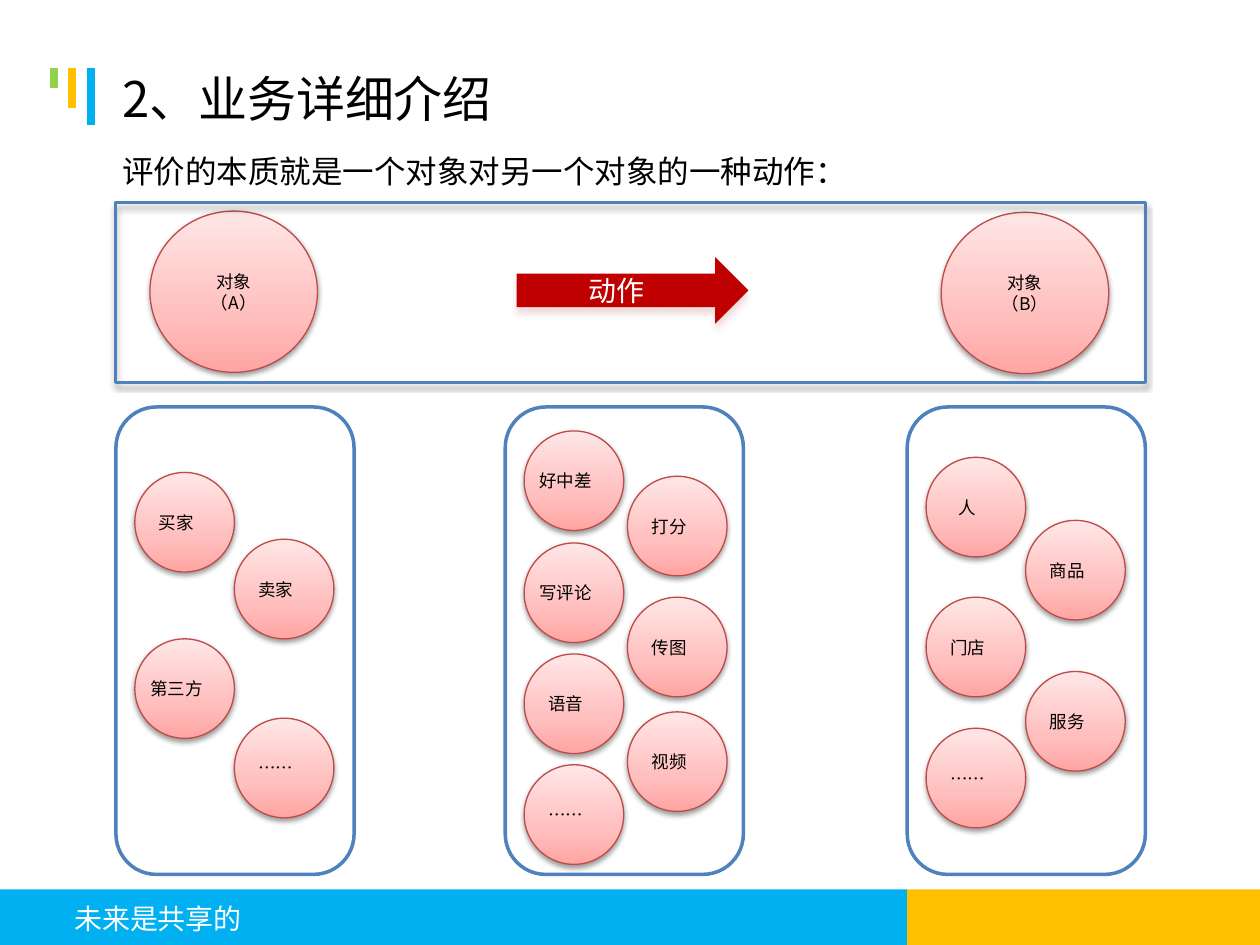
from dataclasses import dataclass

from pptx import Presentation
from pptx.dml.color import RGBColor
from pptx.enum.shapes import MSO_CONNECTOR, MSO_SHAPE as SHAPE
from pptx.enum.text import MSO_ANCHOR as ANCHOR, PP_ALIGN as ALIGN
from pptx.oxml import parse_xml
from pptx.oxml.ns import nsdecls, qn
from pptx.util import Inches, Pt

COLS, ROWS = 100, 75  # slide grid, square cells
CELL = Inches(10) // COLS


@dataclass(frozen=True)
class Theme:
    font: str = "Noto Sans CJK SC"
    latin: str = "Calibri"
    black: str = "000000"
    white: str = "FFFFFF"
    blue: str = "00B0F0"
    yellow: str = "FFC000"
    green: str = "92D050"
    red: str = "C00000"
    frame: str = "4F81BD"
    ring: str = "BE4B48"
    pinks: tuple = ((0, "FFA5A3"), (35, "FFBFBE"), (100, "FFE6E6"))
    title: int = 28
    lead: int = 18
    label: int = 16
    small: int = 10


T = Theme()


@dataclass(frozen=True)
class Box:
    """A rectangle in grid cells."""
    x: float
    y: float
    w: float
    h: float

    def inner(self, x, y, w, h):
        return Box(self.x + x, self.y + y, w, h)

    def emu(self):
        return [round(v * CELL) for v in (self.x, self.y, self.w, self.h)]


def rgb(color):
    return RGBColor.from_string(color)


def write(sp, text, size, color, align=ALIGN.CENTER, font=T.font,
          margins=(0, 0, 0, 0), wrap=False, anchor=ANCHOR.MIDDLE):
    tf = sp.text_frame
    tf.text = text
    tf.word_wrap = wrap
    tf.vertical_anchor = anchor
    (tf.margin_left, tf.margin_top,
     tf.margin_right, tf.margin_bottom) = [round(m * CELL) for m in margins]
    for p in tf.paragraphs:
        p.alignment = align
        p.font.size, p.font.name = Pt(size), font
        p.font.color.rgb = rgb(color)
        # East Asian typeface follows the latin one
        latin = p.font._element.find(qn("a:latin"))
        latin.addnext(parse_xml(
            f'<a:ea {nsdecls("a")} typeface="{T.font}"/>'))


def add_shape(slide, kind, box, fill=None, line=None, width=1):
    sp = slide.shapes.add_shape(kind, *box.emu())
    sp.shadow.inherit = False
    if fill:
        sp.fill.solid()
        sp.fill.fore_color.rgb = rgb(fill)
    else:
        sp.fill.background()
    if line:
        sp.line.color.rgb = rgb(line)
        sp.line.width = Pt(width)
    else:
        sp.line.fill.background()
    return sp


def add_shadow(sp, color, alpha, blur, dist):
    effects = sp._element.spPr.find(qn("a:effectLst"))
    effects.append(parse_xml(
        f'<a:outerShdw {nsdecls("a")} blurRad="{Pt(blur)}" dist="{Pt(dist)}" '
        f'dir="5400000" rotWithShape="0"><a:srgbClr val="{color}">'
        f'<a:alpha val="{alpha * 1000}"/></a:srgbClr></a:outerShdw>'))


def add_circle(slide, box, text, right_margin=0):
    sp = add_shape(slide, SHAPE.OVAL, box, None, T.ring, 0.75)
    stops = "".join(f'<a:gs pos="{pos * 1000}"><a:srgbClr val="{c}"/></a:gs>'
                    for pos, c in T.pinks)
    no_fill = sp._element.spPr.find(qn("a:noFill"))
    no_fill.addprevious(parse_xml(
        f'<a:gradFill {nsdecls("a")} rotWithShape="1"><a:gsLst>{stops}</a:gsLst>'
        '<a:lin ang="16200000" scaled="0"/></a:gradFill>'))
    sp._element.spPr.remove(no_fill)
    add_shadow(sp, T.black, 38, 3, 1.6)
    write(sp, text, T.small, T.black, margins=(0, 0, right_margin, 0))


def add_header(slide, box):
    # Three hanging bars
    bars = ((0, 1.6, T.green), (1.45, 3.2, T.yellow), (2.9, 4.5, T.blue))
    for x, length, color in bars:
        bar = box.inner(x, 1.9, 0, length)
        left, top, _, height = bar.emu()
        line = slide.shapes.add_connector(
            MSO_CONNECTOR.STRAIGHT, left, top, left, top + height)
        line.line.color.rgb = rgb(color)
        line.line.width = Pt(4.5)
        line._element.spPr.append(parse_xml(f'<a:effectLst {nsdecls("a")}/>'))

    # Title and lead sentence
    title = slide.shapes.title
    title.left, title.top, title.width, title.height = box.inner(
        4.9, 0, 74.1, 8.5).emu()
    write(title, "2、业务详细介绍", T.title, T.black, ALIGN.LEFT,
          margins=(0.5,) * 4, wrap=True)
    lead = slide.shapes.add_textbox(*box.inner(4.9, 8.1, 58.6, 3.6).emu())
    write(lead, "评价的本质就是一个对象对另一个对象的一种动作：", T.lead, T.black,
          ALIGN.LEFT, T.latin, (0.5,) * 4, anchor=ANCHOR.TOP)


def add_relation(slide, box):
    # Subject, action, object
    add_circle(slide, box.inner(2.7, 0.65, 13.3, 12.8), "对象\n（A）")
    add_circle(slide, box.inner(65.5, 0.75, 13.3, 12.8), "对象\n（B）")
    arrow = add_shape(slide, SHAPE.RIGHT_ARROW,
                      box.inner(31.8, 4.3, 18.4, 5.3), T.red)
    add_shadow(arrow, "F2DCDB", 100, 4, 4)
    write(arrow, "动作", T.label, T.white, margins=(0, 0, 1.2, 0))
    frame = add_shape(slide, SHAPE.RECTANGLE, box, None, T.frame, 1.75)
    add_shadow(frame, T.black, 35, 3, 1.8)


def add_panel(slide, box, lanes, items):
    """Circles alternate between the left and the right lane."""
    panel = add_shape(slide, SHAPE.ROUNDED_RECTANGLE, box, T.white, T.frame, 2)
    panel.adjustments[0] = 0.17
    for i, (text, y) in enumerate(items):
        add_circle(slide, box.inner(lanes[i % 2], y, 7.9, 7.9), text, 1.3)


def add_footer(slide, box):
    split = 72
    band = add_shape(slide, SHAPE.RECTANGLE,
                     box.inner(0, 0, split, box.h), T.blue)
    write(band, "未来是共享的", T.label, T.white, ALIGN.LEFT,
          margins=(5.9, 0.2, 0, 0))
    add_shape(slide, SHAPE.RECTANGLE,
              box.inner(split, 0, box.w - split, box.h), T.yellow)


PANELS = (
    (9.2, (1.5, 9.4),
     (("买家", 5.2), ("卖家", 10.5), ("第三方", 18.4), ("……", 24.7))),
    (72, (1.5, 9.4),
     (("人", 4), ("商品", 9), ("门店", 15.1), ("服务", 21), ("……", 25.5))),
    (40.1, (1.5, 9.7),
     (("好中差", 1.9), ("打分", 5.5), ("写评论", 10.8), ("传图", 15.1),
      ("语音", 19.6), ("视频", 24.2), ("……", 28.4))),
)


def main():
    prs = Presentation()
    prs.slide_width, prs.slide_height = COLS * CELL, ROWS * CELL
    slide = prs.slides.add_slide(prs.slide_layouts[5])
    add_footer(slide, Box(0, 70.6, COLS, 4.4))
    add_header(slide, Box(4.3, 3.5, 79, 11.7))
    add_relation(slide, Box(9.2, 16.1, 81.7, 14.3))
    for x, lanes, items in PANELS:
        add_panel(slide, Box(x, 32.3, 18.9, 37.1), lanes, items)
    prs.save("out.pptx")


if __name__ == "__main__":
    main()
